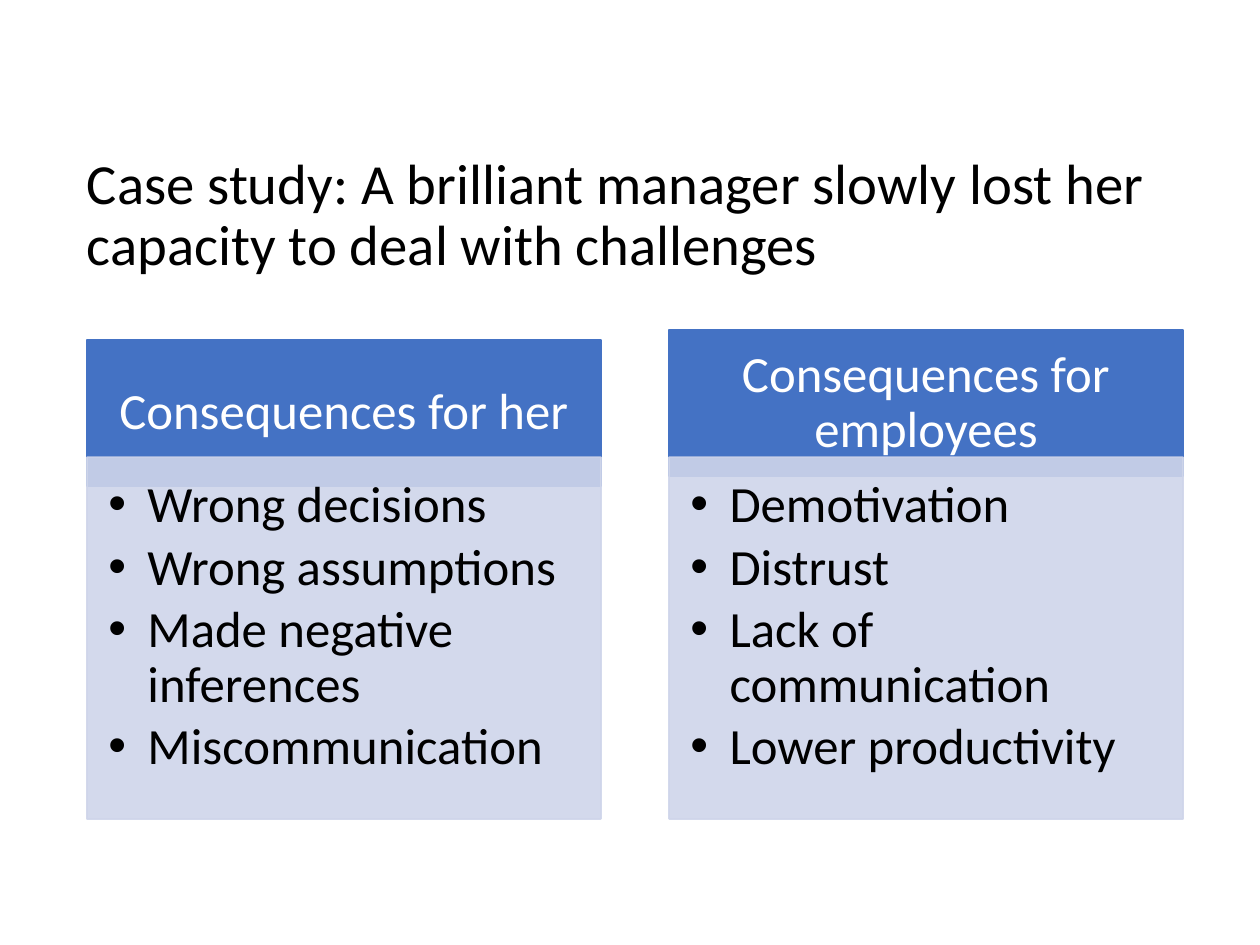
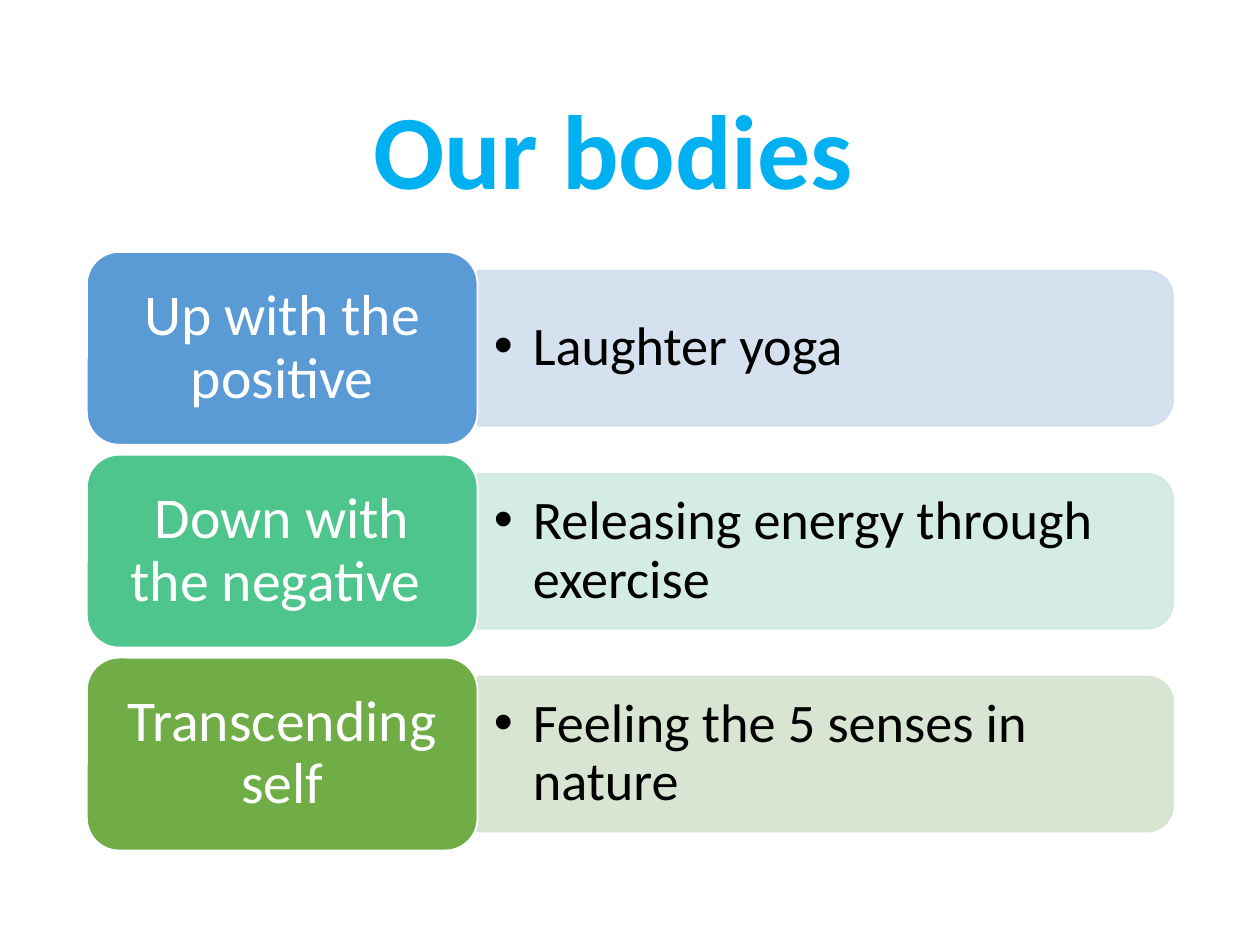
from dataclasses import dataclass

from lxml import etree
from pptx import Presentation
from pptx.dml.color import RGBColor
from pptx.enum.shapes import MSO_SHAPE
from pptx.enum.text import MSO_ANCHOR, MSO_AUTO_SIZE, PP_ALIGN
from pptx.oxml.ns import qn
from pptx.util import Inches, Pt

RECTANGLE = MSO_SHAPE.RECTANGLE
ROUNDED = MSO_SHAPE.ROUNDED_RECTANGLE
ROUNDED_TOP = MSO_SHAPE.ROUND_2_SAME_RECTANGLE
TOP, MIDDLE = MSO_ANCHOR.TOP, MSO_ANCHOR.MIDDLE
LEFT, CENTER = PP_ALIGN.LEFT, PP_ALIGN.CENTER
NO_AUTOFIT = MSO_AUTO_SIZE.NONE

FONT = "Calibri"
BLACK, WHITE = "000000", "FFFFFF"
HEADER_BLUE, PANEL_BLUE = "4472C4", "CFD5EA"
TITLE_BLUE = "00B0F0"
LINE_SPACING = 0.9
BULLET_INDENT = 0.31
TINT_OPACITY = 90
CONTENT_LEFT = 0.69

COLUMN_WIDTH, COLUMN_PITCH = 4.08, 4.62
HEADER_HEIGHT = 1.16
PANEL_TOP, PANEL_HEIGHT = 3.63, 2.87

FIRST_ROW_TOP, ROW_PITCH = 2, 1.61
LABEL_WIDTH, LABEL_HEIGHT = 3.1, 1.53
PILL_WIDTH, PILL_HEIGHT = 5.52, 1.23
PILL_TEXT_WIDTH, PILL_TEXT_HEIGHT = 5.46, 1.11


@dataclass
class Box:
    left: float
    top: float
    width: float
    height: float

    def lengths(self) -> list:
        return [Inches(n) for n in (self.left, self.top, self.width, self.height)]


@dataclass
class TextStyle:
    size: float
    color: str
    align: PP_ALIGN = LEFT
    anchor: MSO_ANCHOR = MIDDLE
    insets: tuple = (0.1, 0.05, 0.1, 0.05)
    bold: bool = False
    bullet: bool = False
    space_after: float = 0


@dataclass
class Column:
    header: str
    header_top: float
    points: list


@dataclass
class Row:
    label: str
    point: str
    color: str
    tint: str


CASE_TITLE = TextStyle(32.4, BLACK, insets=(0.1, 0.05, 0.1, 0.6))
BODIES_TITLE = TextStyle(60.3, TITLE_BLUE, CENTER, insets=(0.1, 0.6, 0.1, 0.05), bold=True)
HEADER = TextStyle(29, WHITE, CENTER, insets=(0.23, 0.13, 0.23, 0.13))
PANEL = TextStyle(29, BLACK, anchor=TOP, insets=(0.17, 0.17, 0.23, 0.25),
                  bullet=True, space_after=4.35)
LABEL = TextStyle(33, WHITE, CENTER, insets=(0.14, 0.07, 0.14, 0.07))
PILL = TextStyle(31, BLACK, insets=(0.13, 0.06, 0.13, 0.06), bullet=True)

COLUMNS = [
    Column("Consequences for her", 2.7,
           ["Wrong decisions", "Wrong assumptions",
            "Made negative inferences", "Miscommunication"]),
    Column("Consequences for employees", 2.62,
           ["Demotivation", "Distrust", "Lack of communication",
            "Lower productivity"]),
]
ROWS = [
    Row("Up with the positive", "Laughter yoga", "5B9BD5", "D2DEEF"),
    Row("Down with the negative ", "Releasing energy through exercise", "4DC58D", "D0EAE1"),
    Row("Transcending self", "Feeling the 5 senses in nature", "70AD47", "D5E3CF"),
]


def paint(color_format, color: str, opacity: int = 100) -> None:
    """Set a colour and, below 100 percent, its opacity."""
    color_format.rgb = RGBColor.from_string(color)


def set_opacity(properties, opacity: int) -> None:
    """Apply the opacity to the fill and the line in the shape properties."""
    for color in properties.iter(qn("a:srgbClr")):
        etree.SubElement(color, qn("a:alpha"), val=str(opacity * 1000))


def add_bullet(para) -> None:
    indent = Inches(BULLET_INDENT)
    properties = para._p.get_or_add_pPr()
    properties.set("marL", str(indent))
    properties.set("indent", str(-indent))
    etree.SubElement(properties, qn("a:buFont"), typeface="Arial")
    etree.SubElement(properties, qn("a:buChar"), char="•")


def write(shape, lines: list, style: TextStyle) -> None:
    frame = shape.text_frame
    frame.word_wrap = True
    frame.auto_size = NO_AUTOFIT
    frame.vertical_anchor = style.anchor
    (frame.margin_left, frame.margin_top,
     frame.margin_right, frame.margin_bottom) = map(Inches, style.insets)
    for index, line in enumerate(lines):
        para = frame.add_paragraph() if index else frame.paragraphs[0]
        para.alignment = style.align
        para.line_spacing = LINE_SPACING
        para.space_before = Pt(0)
        para.space_after = Pt(style.space_after)
        if style.bullet:
            add_bullet(para)
        span = para.add_run()
        span.text = line
        span.font.name = FONT
        span.font.size = Pt(style.size)
        span.font.bold = style.bold
        paint(span.font.color, style.color)


def add_block(page, kind: MSO_SHAPE, box: Box, fill: str, line: str, opacity: int = 100):
    shape = page.shapes.add_shape(kind, *box.lengths())
    shape.shadow.inherit = False
    shape.fill.solid()
    paint(shape.fill.fore_color, fill)
    paint(shape.line.color, line)
    shape.line.width = Pt(1)
    if opacity < 100:
        set_opacity(shape._element.spPr, opacity)
    return shape


def add_page(deck, title: str, box: Box, style: TextStyle):
    page = deck.slides.add_slide(deck.slide_layouts.get_by_name("Title Only"))
    heading = page.shapes.title
    heading.left, heading.top, heading.width, heading.height = box.lengths()
    write(heading, [title], style)
    return page


def add_column(page, index: int, column: Column) -> None:
    left = CONTENT_LEFT + index * COLUMN_PITCH
    header = add_block(page, RECTANGLE,
                       Box(left, column.header_top, COLUMN_WIDTH, HEADER_HEIGHT),
                       HEADER_BLUE, HEADER_BLUE)
    write(header, [column.header], HEADER)
    panel = add_block(page, RECTANGLE, Box(left, PANEL_TOP, COLUMN_WIDTH, PANEL_HEIGHT),
                      PANEL_BLUE, PANEL_BLUE, TINT_OPACITY)
    write(panel, column.points, PANEL)


def add_row(page, index: int, row: Row) -> None:
    top = FIRST_ROW_TOP + index * ROW_PITCH
    middle = top + LABEL_HEIGHT / 2
    pill_left = CONTENT_LEFT + LABEL_WIDTH
    # The pill is an upright shape turned a quarter about its centre.
    upright = Box(pill_left + (PILL_WIDTH - PILL_HEIGHT) / 2, middle - PILL_WIDTH / 2,
                  PILL_HEIGHT, PILL_WIDTH)
    pill = add_block(page, ROUNDED_TOP, upright, row.tint, row.tint, TINT_OPACITY)
    pill.rotation = 90
    text_box = Box(pill_left, middle - PILL_TEXT_HEIGHT / 2,
                   PILL_TEXT_WIDTH, PILL_TEXT_HEIGHT)
    write(page.shapes.add_textbox(*text_box.lengths()), [row.point], PILL)
    label = add_block(page, ROUNDED, Box(CONTENT_LEFT, top, LABEL_WIDTH, LABEL_HEIGHT),
                      row.color, WHITE)
    write(label, [row.label], LABEL)


def main() -> None:
    deck = Presentation()
    deck.slide_width, deck.slide_height = Inches(10), Inches(7.5)

    case_page = add_page(
        deck, "Case study: A brilliant manager slowly lost her capacity to deal with challenges",
        Box(0.59, 1.53, 8.62, 0.93), CASE_TITLE)
    for index, column in enumerate(COLUMNS):
        add_column(case_page, index, column)

    bodies_page = add_page(deck, "Our bodies ", Box(0.65, 0.34, 8.62, 1.24), BODIES_TITLE)
    for index, row in enumerate(ROWS):
        add_row(bodies_page, index, row)

    deck.save("out.pptx")


if __name__ == "__main__":
    main()
